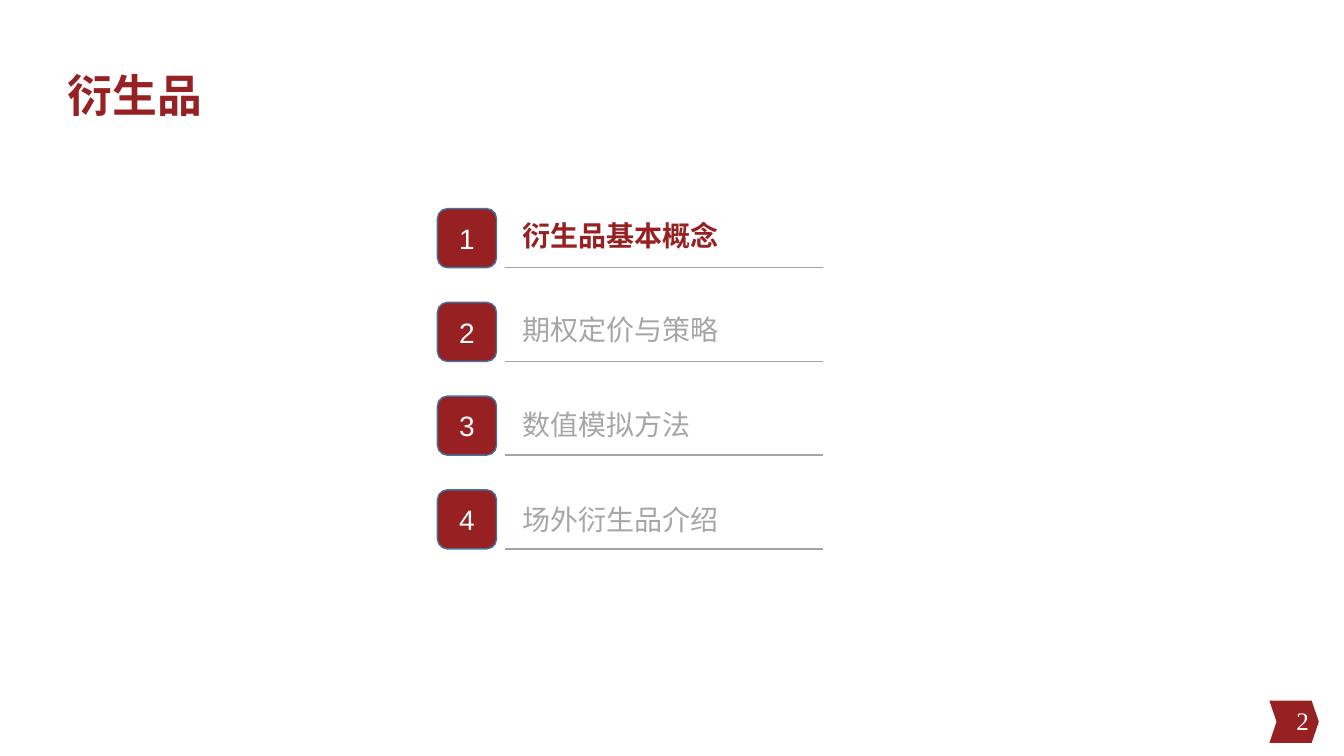
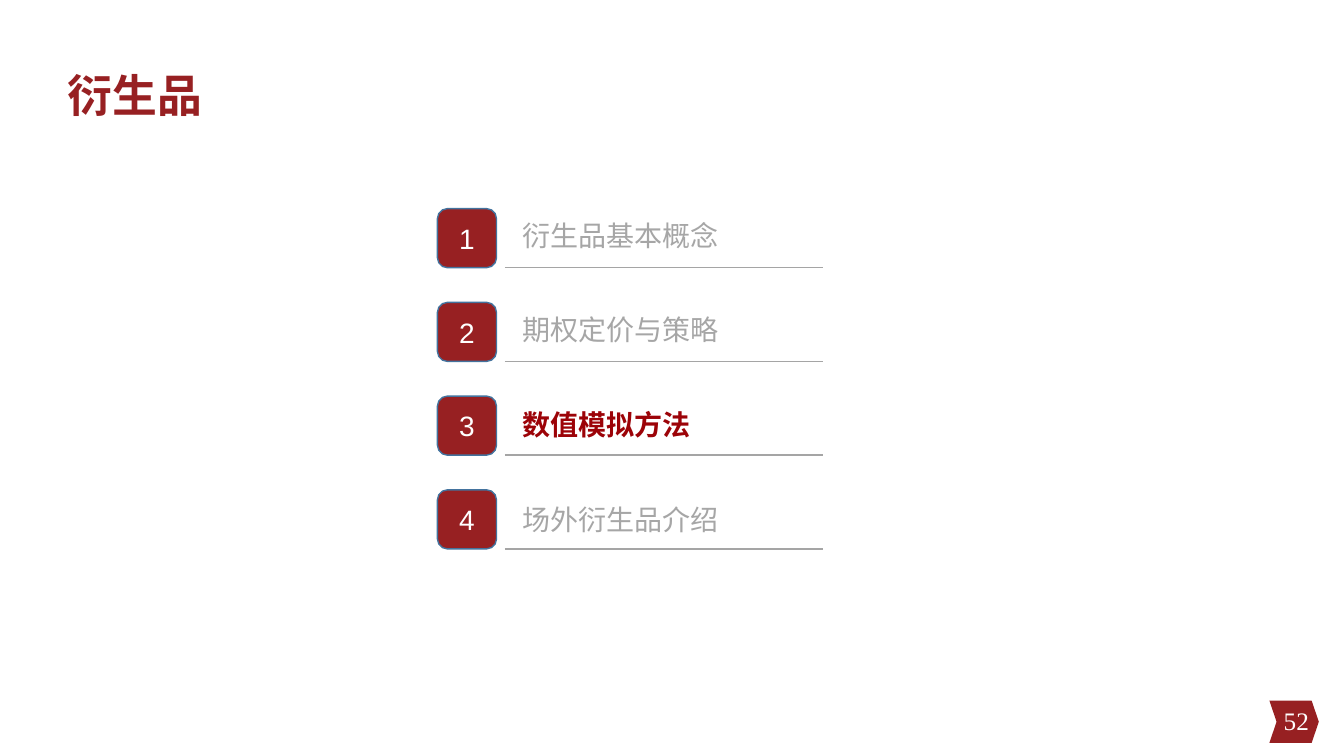
from lxml import etree
from pptx import Presentation
from pptx.dml.color import RGBColor
from pptx.enum.lang import MSO_LANGUAGE_ID
from pptx.enum.shapes import MSO_CONNECTOR, MSO_SHAPE
from pptx.enum.text import MSO_ANCHOR, MSO_AUTO_SIZE, PP_ALIGN
from pptx.oxml.ns import qn
from pptx.util import Inches, Pt

RED = RGBColor(0x97, 0x20, 0x22)
DEEP_RED = RGBColor(0x9C, 0x03, 0x08)
GREY = RGBColor(0xA6, 0xA6, 0xA6)
RULE_GREY = RGBColor(0xA5, 0xA5, 0xA5)
BLUE = RGBColor(0x43, 0x73, 0x9E)
WHITE = RGBColor(0xFF, 0xFF, 0xFF)

LEFT, CENTER, RIGHT = PP_ALIGN.LEFT, PP_ALIGN.CENTER, PP_ALIGN.RIGHT
TOP, MIDDLE = MSO_ANCHOR.TOP, MSO_ANCHOR.MIDDLE
GROW = MSO_AUTO_SIZE.SHAPE_TO_FIT_TEXT
CHEVRON, ROUNDED = MSO_SHAPE.CHEVRON, MSO_SHAPE.ROUNDED_RECTANGLE
STRAIGHT = MSO_CONNECTOR.STRAIGHT
CHINESE = MSO_LANGUAGE_ID.SIMPLIFIED_CHINESE

WIDTH, HEIGHT = Inches(13.33), Inches(7.5)
COL, ROW = WIDTH / 100, HEIGHT / 100

SERIF = "Times New Roman"
TITLE_FONT = {"name": SERIF, "size": Pt(32), "bold": True, "language_id": CHINESE}
LABEL_FONT = {"name": SERIF, "size": Pt(20), "language_id": CHINESE}
NUMBER_FONT = {"name": SERIF, "size": Pt(18)}
BADGE_FONT = {"name": "Arial", "size": Pt(20)}

TITLE = "衍生品"
TOPICS = ["衍生品基本概念", "期权定价与策略", "数值模拟方法", "场外衍生品介绍"]
SLIDES = [
    {"number": 2, "current": 0, "accent": RED},
    {"number": 52, "current": 2, "accent": DEEP_RED},
]


def grid(left, top, width, height):
    return left * COL, top * ROW, width * COL, height * ROW


TITLE_BOX = grid(4.28, 8.27, 86.27, 11.33)
AGENDA_BOX = grid(32.55, 27.6, 28.65, 49.6)
PAGE_BOX = grid(94.45, 92.67, 3.68, 5.6)


def emu(*lengths):
    return [round(length) for length in lengths]


def write(sp, text, font, color, align=LEFT, anchor=TOP):
    tf = sp.text_frame
    tf.word_wrap = True
    tf.vertical_anchor = anchor
    p = tf.paragraphs[0]
    p.alignment = align
    r = p.add_run()
    r.text = text
    for key, value in font.items():
        setattr(r.font, key, value)
    r.font.color.rgb = color


def add_text(s, box, text, font, color, **layout):
    sp = s.shapes.add_textbox(*emu(*box))
    write(sp, text, font, color, **layout)
    return sp


def add_block(s, kind, box, line=None):
    sp = s.shapes.add_shape(kind, *emu(*box))
    sp.shadow.inherit = False
    sp.fill.solid()
    sp.fill.fore_color.rgb = RED
    if line is None:
        sp.line.fill.background()
    else:
        sp.line.color.rgb = line
        sp.line.width = Pt(1)
    return sp


def add_rule(s, x1, x2, y):
    rule = s.shapes.add_connector(STRAIGHT, *emu(x1, y, x2, y))
    rule.line.color.rgb = RULE_GREY
    rule.line.width = Pt(1)
    etree.SubElement(rule._element.spPr, qn("a:effectLst"))


def add_page_marker(s, box, number):
    left, top, width, height = box
    add_block(s, CHEVRON, box).adjustments[0] = 0.17
    number_width = 22.5 * COL
    number_box = left + width - number_width, top, number_width, height * 0.95
    add_text(s, number_box, str(number), NUMBER_FONT, WHITE, align=RIGHT, anchor=MIDDLE)


def add_agenda(s, box, current, accent):
    left, top, width, height = box
    pitch = height / len(TOPICS)
    badge = pitch * 0.63
    for i, topic in enumerate(TOPICS):
        y = top + i * pitch
        sp = add_block(s, ROUNDED, (left, y, badge, badge), BLUE)
        write(sp, str(i + 1), BADGE_FONT, WHITE, CENTER, MIDDLE)
        add_rule(s, left + pitch * 0.72, left + width, y + badge)
        label_box = (left + pitch * 0.8, top + pitch * (0.05 + i * 1.01),
                     width * 1.27, pitch * 0.47)
        active = i == current
        label = add_text(s, label_box, topic, {**LABEL_FONT, "bold": active},
                         accent if active else GREY)
        label.text_frame.auto_size = GROW


def add_agenda_slide(prs, number, current, accent):
    s = prs.slides.add_slide(prs.slide_layouts[6])
    add_page_marker(s, PAGE_BOX, number)
    add_text(s, TITLE_BOX, TITLE, TITLE_FONT, RED)
    add_agenda(s, AGENDA_BOX, current, accent)


def main():
    prs = Presentation()
    prs.slide_width, prs.slide_height = WIDTH, HEIGHT
    for content in SLIDES:
        add_agenda_slide(prs, **content)
    prs.save("out.pptx")


if __name__ == "__main__":
    main()
